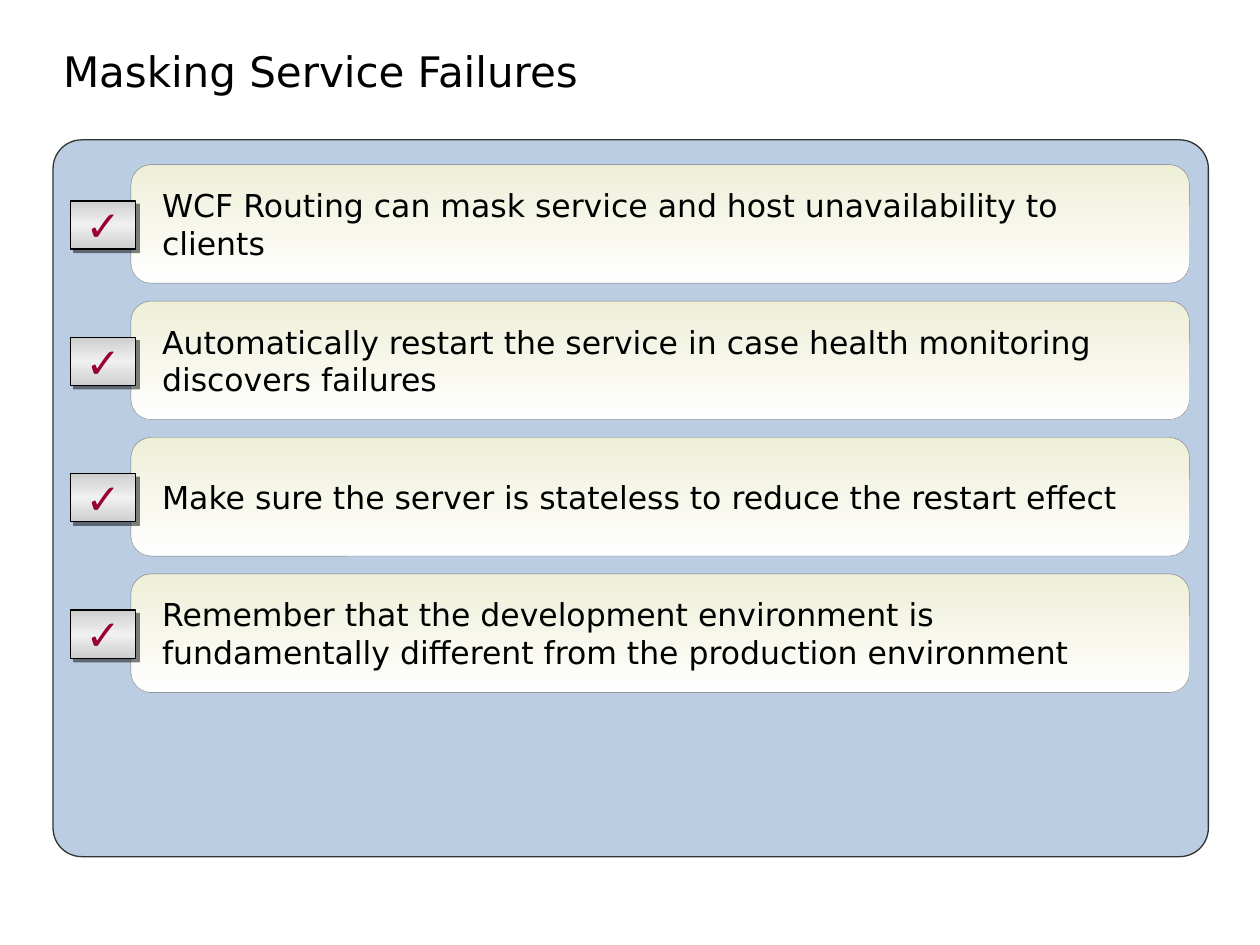
from dataclasses import dataclass

from lxml import etree
from pptx import Presentation
from pptx.dml.color import RGBColor
from pptx.enum.shapes import MSO_SHAPE
from pptx.enum.text import MSO_ANCHOR, MSO_AUTO_SIZE, PP_ALIGN
from pptx.oxml.ns import qn
from pptx.util import Cm, Pt

ROUNDED = MSO_SHAPE.ROUNDED_RECTANGLE
RECTANGLE = MSO_SHAPE.RECTANGLE
MIDDLE, BOTTOM = MSO_ANCHOR.MIDDLE, MSO_ANCHOR.BOTTOM
LEFT, CENTER = PP_ALIGN.LEFT, PP_ALIGN.CENTER
NO_AUTOFIT = MSO_AUTO_SIZE.NONE

TITLE = "Masking Service Failures"
POINTS = (
    "WCF Routing can mask service and host unavailability to clients",
    "Automatically restart the service in case health monitoring discovers failures",
    "Make sure the server is stateless to reduce the restart effect",
    "Remember that the development environment is fundamentally different "
    "from the production environment",
)
ROW_PITCH = 2.75
CHECK_DROP = 0.73  # from the top of a card to the top of its check box


@dataclass(frozen=True)
class Box:
    """Place in centimetres."""
    left: float
    top: float
    width: float
    height: float

    def lowered(self, distance: float) -> "Box":
        return Box(self.left, self.top + distance, self.width, self.height)

    def lengths(self) -> tuple:
        return Cm(self.left), Cm(self.top), Cm(self.width), Cm(self.height)


@dataclass(frozen=True)
class ShapeStyle:
    kind: int
    colors: tuple  # one for a solid fill, more for an even vertical gradient
    line_color: str
    line_width: float
    corner: float = 0


@dataclass(frozen=True)
class TextStyle:
    font: dict
    color: str
    frame: dict
    paragraph: dict


TITLE_BOX = Box(1.27, 0, 21.59, 2.06)
PANEL_BOX = Box(1.07, 2.82, 23.29, 14.45)
CARD_BOX = Box(2.64, 3.32, 21.34, 2.39)
CHECK_BOX = Box(1.42, CARD_BOX.top + CHECK_DROP, 1.32, 0.97)

PANEL = ShapeStyle(ROUNDED, ("BBCDE3",), "333333", 0.75, 0.04)
CARD = ShapeStyle(ROUNDED, ("EEEFD7", "FFFFFF"), "808080", 0.25, 0.17)
CHECK = ShapeStyle(RECTANGLE, ("CECECE", "F0F0F0", "CECECE"), "000000", 0.75)

TITLE_TEXT = TextStyle(
    {"name": "DejaVu Sans", "size": Pt(24), "bold": False}, "000000",
    {"vertical_anchor": BOTTOM, "word_wrap": True, "auto_size": NO_AUTOFIT,
     "margin_left": 0, "margin_right": Cm(0.25)},
    {"alignment": LEFT, "line_spacing": 0.85})
CARD_TEXT = TextStyle(
    {"name": "DejaVu Sans", "size": Pt(18)}, "000000",
    {"vertical_anchor": MIDDLE, "word_wrap": True,
     "margin_left": Cm(0.51), "margin_right": Cm(0.51)},
    {"alignment": LEFT})
CHECK_TEXT = TextStyle(
    {"name": "Arial", "size": Pt(24)}, "990033",
    {"vertical_anchor": MIDDLE, "word_wrap": False},
    {"alignment": CENTER})


def rgb(color: str) -> RGBColor:
    return RGBColor.from_string(color)


def set_attributes(target, values: dict) -> None:
    for name, value in values.items():
        setattr(target, name, value)


def write_text(shape, text: str, style: TextStyle) -> None:
    frame = shape.text_frame
    frame.text = text
    set_attributes(frame, style.frame)
    paragraph = frame.paragraphs[0]
    set_attributes(paragraph, style.paragraph)
    font = paragraph.runs[0].font
    set_attributes(font, style.font)
    font.color.rgb = rgb(style.color)


def fill_gradient(shape, colors: tuple) -> None:
    shape.fill.gradient()
    shape.fill.gradient_angle = 270  # top to bottom
    stops = shape._element.spPr.find(qn("a:gradFill")).find(qn("a:gsLst"))
    for stop in list(stops):
        stops.remove(stop)
    for index, color in enumerate(colors):
        position = 100000 * index // (len(colors) - 1)
        stop = etree.SubElement(stops, qn("a:gs"), pos=str(position))
        etree.SubElement(stop, qn("a:srgbClr"), val=color)


def add_box(slide, box: Box, style: ShapeStyle):
    shape = slide.shapes.add_shape(style.kind, *box.lengths())
    shape.shadow.inherit = False
    if style.corner:
        shape.adjustments[0] = style.corner
    if len(style.colors) == 1:
        shape.fill.solid()
        shape.fill.fore_color.rgb = rgb(style.colors[0])
    else:
        fill_gradient(shape, style.colors)
    shape.line.color.rgb = rgb(style.line_color)
    shape.line.width = Pt(style.line_width)
    return shape


def add_hard_shadow(shape) -> None:
    effects = shape._element.spPr.find(qn("a:effectLst"))
    shadow = etree.SubElement(effects, qn("a:outerShdw"), blurRad="0",
                              dist=str(Pt(2.8)), dir="2700000",
                              algn="ctr", rotWithShape="0")
    color = etree.SubElement(shadow, qn("a:srgbClr"), val="000000")
    etree.SubElement(color, qn("a:alpha"), val="50000")


def add_point(slide, text: str, row: int) -> None:
    drop = row * ROW_PITCH
    card = add_box(slide, CARD_BOX.lowered(drop), CARD)
    write_text(card, text, CARD_TEXT)
    check = add_box(slide, CHECK_BOX.lowered(drop), CHECK)
    add_hard_shadow(check)
    write_text(check, "✓", CHECK_TEXT)


def main() -> None:
    presentation = Presentation()
    presentation.slide_width, presentation.slide_height = Cm(25.4), Cm(19.05)
    slide = presentation.slides.add_slide(presentation.slide_layouts[5])

    # Title
    title = slide.shapes.title
    set_attributes(title, dict(zip(("left", "top", "width", "height"),
                                   TITLE_BOX.lengths())))
    write_text(title, TITLE, TITLE_TEXT)

    # Panel with the checked points
    add_box(slide, PANEL_BOX, PANEL)
    for row, text in enumerate(POINTS):
        add_point(slide, text, row)

    presentation.save("out.pptx")


if __name__ == "__main__":
    main()
